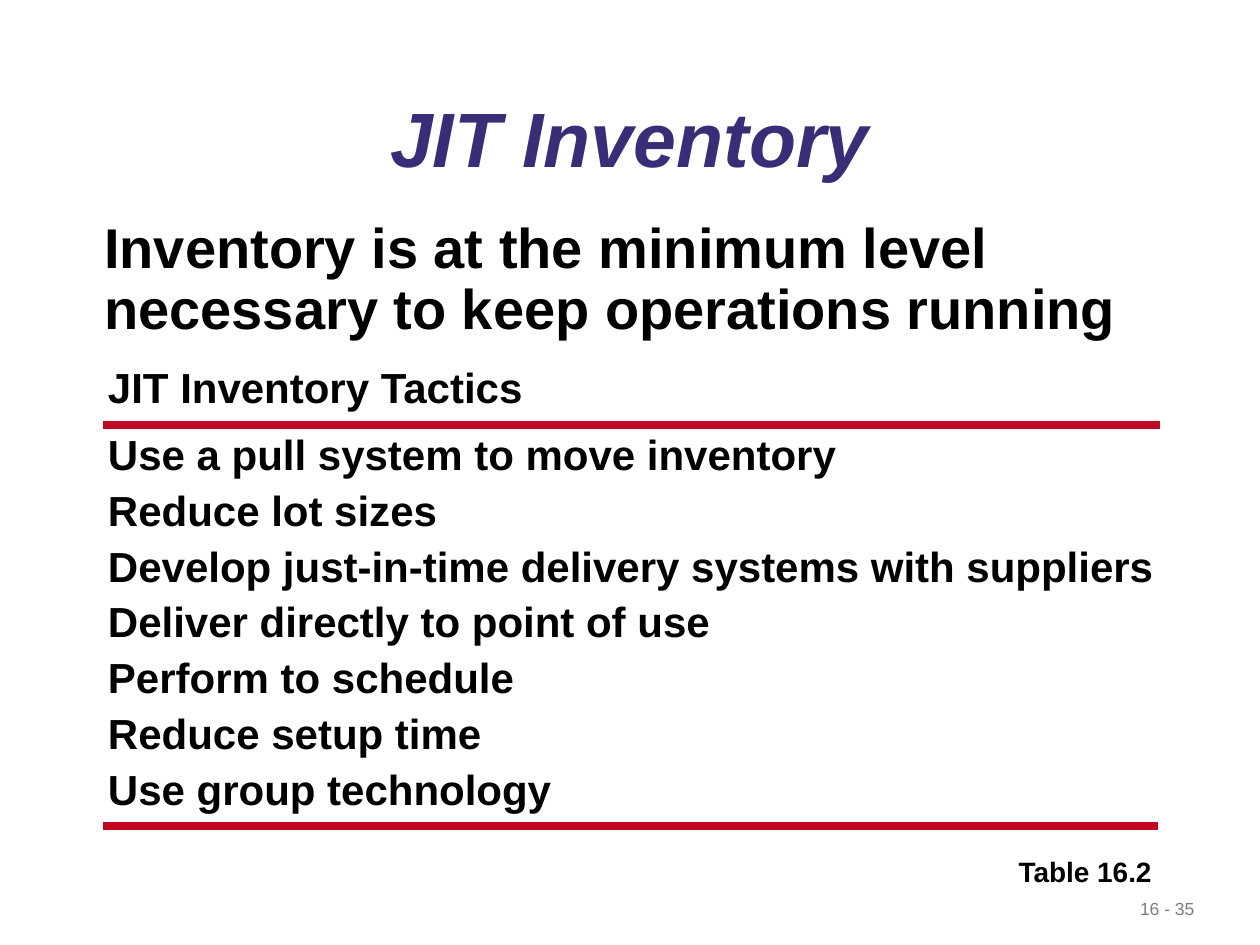
from pptx import Presentation
from pptx.dml.color import RGBColor
from pptx.enum.shapes import MSO_CONNECTOR
from pptx.enum.text import MSO_ANCHOR, MSO_AUTO_SIZE, PP_ALIGN
from pptx.oxml.ns import qn
from pptx.util import Pt

CENTER, LEFT = PP_ALIGN.CENTER, PP_ALIGN.LEFT
MIDDLE, TOP = MSO_ANCHOR.MIDDLE, MSO_ANCHOR.TOP
NO_AUTOFIT = MSO_AUTO_SIZE.NONE
STRAIGHT = MSO_CONNECTOR.STRAIGHT
TITLE_AND_CONTENT = 1

COLORS = {"title": "3A2C76", "text": "000000", "number": "7F7F7F", "rule": "BF0922"}
TACTICS = [
    "Use a pull system to move inventory",
    "Reduce lot sizes",
    "Develop just-in-time delivery systems with suppliers",
    "Deliver directly to point of use",
    "Perform to schedule",
    "Reduce setup time",
    "Use group technology",
]


class SlideBuilder:
    """Holds the style and the current slide, and adds each kind of element."""

    font_name = "Arial"

    def __init__(self, slide):
        self.slide = slide

    def place(self, shape, left, top, width, height, anchor=TOP):
        shape.left, shape.top = Pt(left), Pt(top)
        shape.width, shape.height = Pt(width), Pt(height)
        frame = shape.text_frame
        frame.word_wrap = True
        frame.auto_size = NO_AUTOFIT
        frame.vertical_anchor = anchor
        return frame

    def fill_paragraph(self, paragraph, text, size, color="text", bold=True, italic=False,
                       align=LEFT, line_spacing=1.0, space_after=0):
        paragraph.text = text
        paragraph.alignment = align
        paragraph.line_spacing = line_spacing
        paragraph.space_before = Pt(0)
        paragraph.space_after = Pt(space_after)
        font = paragraph.font
        font.name, font.size = self.font_name, Pt(size)
        font.bold, font.italic = bold, italic
        font.color.rgb = RGBColor.from_string(COLORS[color])

    def title(self, text, box):
        frame = self.place(self.slide.shapes.title, *box, anchor=MIDDLE)
        self.fill_paragraph(frame.paragraphs[0], text, 44, "title", italic=True,
                            align=CENTER, line_spacing=0.8)

    def text(self, text, box, size, **style):
        frame = self.place(self.slide.shapes.add_textbox(0, 0, 0, 0), *box)
        self.fill_paragraph(frame.paragraphs[0], text, size, **style)

    def tactics(self, heading, items, box):
        frame = self.place(self.slide.placeholders[1], *box)
        for index, text in enumerate([heading, *items]):
            paragraph = frame.add_paragraph() if index else frame.paragraphs[0]
            properties = paragraph._p.get_or_add_pPr()
            properties.set("marL", "0")
            properties.set("indent", "0")
            properties.append(properties.makeelement(qn("a:buNone"), {}))
            self.fill_paragraph(paragraph, text, 24, line_spacing=0.9,
                                space_after=6 if index else 12)

    def rule(self, left, right, y):
        line = self.slide.shapes.add_connector(STRAIGHT, Pt(left), Pt(y), Pt(right), Pt(y))
        line.line.width = Pt(4.5)
        line.line.color.rgb = RGBColor.from_string(COLORS["rule"])
        properties = line._element.spPr
        properties.append(properties.makeelement(qn("a:effectLst"), {}))


def main():
    presentation = Presentation()
    presentation.slide_width, presentation.slide_height = Pt(720), Pt(540)
    layout = presentation.slide_layouts[TITLE_AND_CONTENT]
    builder = SlideBuilder(presentation.slides.add_slide(layout))

    builder.title("JIT Inventory", (54, 46, 612, 74))
    builder.text("Inventory is at the minimum level necessary to keep operations running",
                 (52.5, 122.4, 601, 76), 32, line_spacing=0.9)
    builder.tactics("JIT Inventory Tactics", TACTICS, (54.5, 206.5, 620, 263))
    builder.rule(59, 663, 242.8)
    builder.rule(59, 662, 472)
    builder.text("Table 16.2", (575, 484.5, 95, 26.5), 16)
    builder.text("16 - 35", (644.4, 509.8, 75, 19.5), 10, color="number", bold=False)

    presentation.save("out.pptx")


if __name__ == "__main__":
    main()
